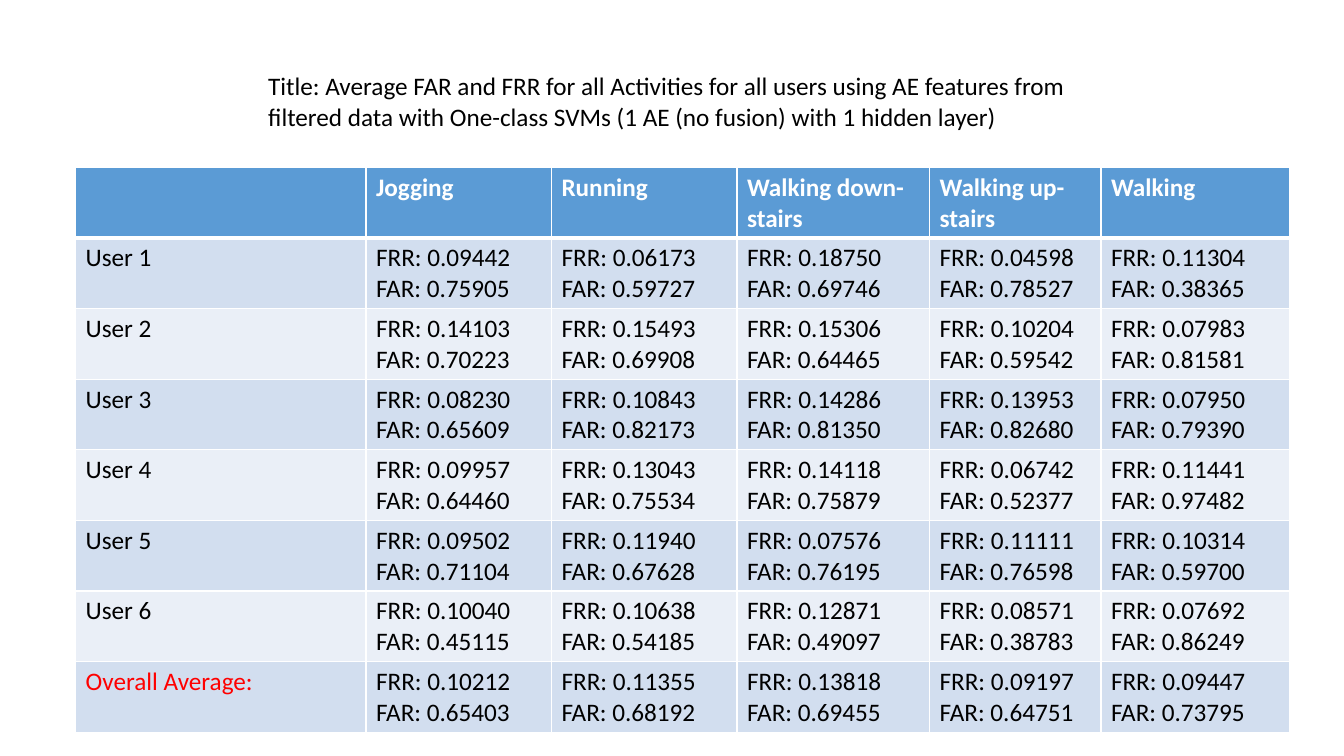
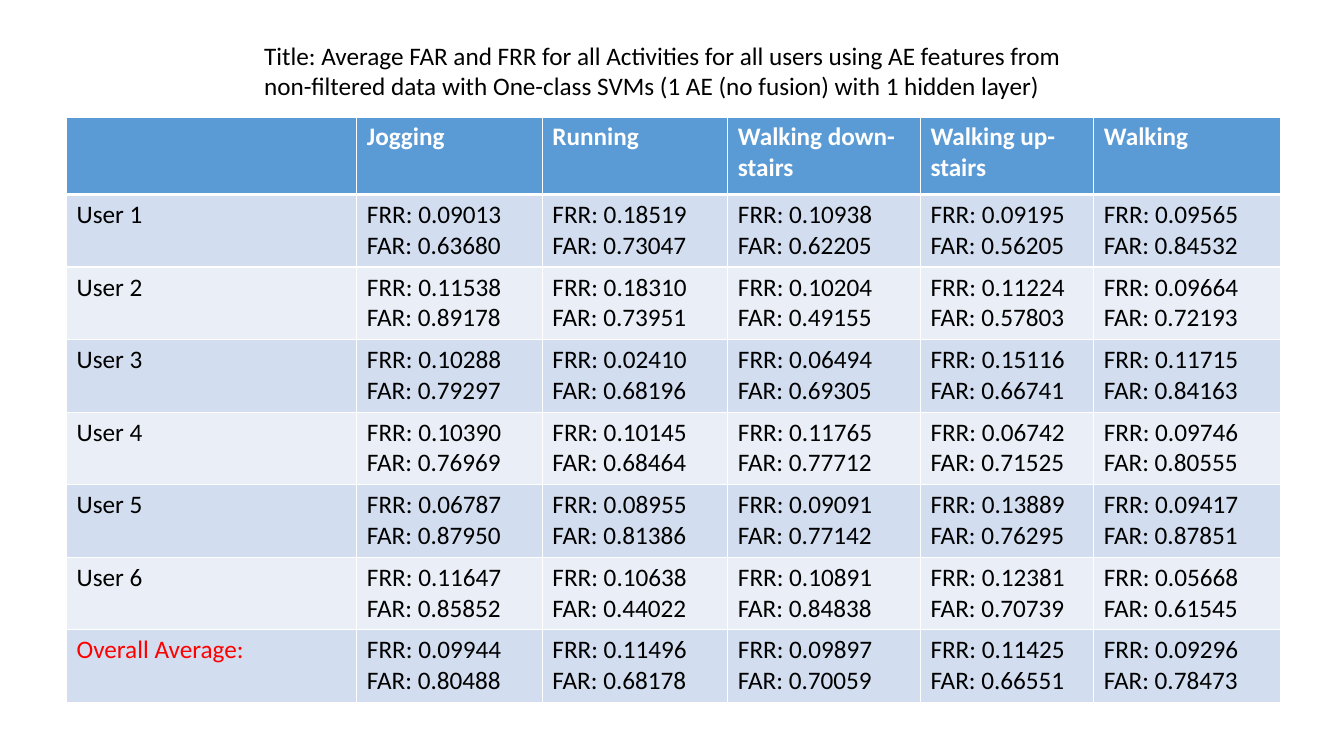
import lxml.etree
import pptx
import pptx.dml.color
import pptx.enum.text
import pptx.oxml.ns
import pptx.util

PX = 9144  # EMU; 100 px to the inch
FONT = "Calibri"
SIZE = pptx.util.Pt(18)
BLACK, WHITE, RED = "000000", "FFFFFF", "FF0000"
HEADER_FILL = "5B9BD5"
BAND_FILLS = ["EAEFF7", "D2DEEF"]

TITLE = ("Title: Average FAR and FRR for all Activities for all users using AE features "
         "from {} data with One-class SVMs (1 AE (no fusion) with 1 hidden layer)")
ACTIVITIES = ["Jogging", "Running", "Walking down-stairs", "Walking up-stairs", "Walking"]
ROW_NAMES = [f"User {number}" for number in range(1, 7)] + ["Overall Average:"]

# Each row holds one "FRR FAR" pair per activity.
RESULTS = [
    {
        "data": "filtered",
        "title_at": (256, 65),
        "table_at": (75, 166),
        "columns": [288, 184, 184, 191, 170, 187],
        "header_height": 67,
        "row_height": 67,
        "rates": [
            ["0.09442 0.75905", "0.06173 0.59727", "0.18750 0.69746", "0.04598 0.78527", "0.11304 0.38365"],
            ["0.14103 0.70223", "0.15493 0.69908", "0.15306 0.64465", "0.10204 0.59542", "0.07983 0.81581"],
            ["0.08230 0.65609", "0.10843 0.82173", "0.14286 0.81350", "0.13953 0.82680", "0.07950 0.79390"],
            ["0.09957 0.64460", "0.13043 0.75534", "0.14118 0.75879", "0.06742 0.52377", "0.11441 0.97482"],
            ["0.09502 0.71104", "0.11940 0.67628", "0.07576 0.76195", "0.11111 0.76598", "0.10314 0.59700"],
            ["0.10040 0.45115", "0.10638 0.54185", "0.12871 0.49097", "0.08571 0.38783", "0.07692 0.86249"],
            ["0.10212 0.65403", "0.11355 0.68192", "0.13818 0.69455", "0.09197 0.64751", "0.09447 0.73795"],
        ],
    },
    {
        "data": "non-filtered",
        "title_at": (252, 35),
        "table_at": (66, 116),
        "columns": [288, 184, 184, 191, 172, 185],
        "header_height": 77,
        "row_height": 72,
        "rates": [
            ["0.09013 0.63680", "0.18519 0.73047", "0.10938 0.62205", "0.09195 0.56205", "0.09565 0.84532"],
            ["0.11538 0.89178", "0.18310 0.73951", "0.10204 0.49155", "0.11224 0.57803", "0.09664 0.72193"],
            ["0.10288 0.79297", "0.02410 0.68196", "0.06494 0.69305", "0.15116 0.66741", "0.11715 0.84163"],
            ["0.10390 0.76969", "0.10145 0.68464", "0.11765 0.77712", "0.06742 0.71525", "0.09746 0.80555"],
            ["0.06787 0.87950", "0.08955 0.81386", "0.09091 0.77142", "0.13889 0.76295", "0.09417 0.87851"],
            ["0.11647 0.85852", "0.10638 0.44022", "0.10891 0.84838", "0.12381 0.70739", "0.05668 0.61545"],
            ["0.09944 0.80488", "0.11496 0.68178", "0.09897 0.70059", "0.11425 0.66551", "0.09296 0.78473"],
        ],
    },
]


def write_lines(frame, lines, color, bold=False):
    """Write each line as a paragraph of one run."""
    for index, line in enumerate(lines):
        para = frame.add_paragraph() if index else frame.paragraphs[0]
        para.alignment = pptx.enum.text.PP_ALIGN.LEFT
        span = para.add_run()
        span.text = line
        span.font.name = FONT
        span.font.size = SIZE
        span.font.bold = bold
        span.font.color.rgb = pptx.dml.color.RGBColor.from_string(color)


def paint_cell(cell, fill, top, bottom):
    """Fill a cell and give it white borders; top and bottom are widths in points."""
    cell.fill.solid()
    cell.fill.fore_color.rgb = pptx.dml.color.RGBColor.from_string(fill)
    properties = cell._tc.get_or_add_tcPr()
    borders = [("a:lnL", 1), ("a:lnR", 1), ("a:lnT", top), ("a:lnB", bottom)]
    for index, (tag, width) in enumerate(borders):
        line = lxml.etree.Element(pptx.oxml.ns.qn(tag), w=str(pptx.util.Pt(width)))
        solid = lxml.etree.SubElement(line, pptx.oxml.ns.qn("a:solidFill"))
        lxml.etree.SubElement(solid, pptx.oxml.ns.qn("a:srgbClr"), val=WHITE)
        properties.insert(index, line)


deck = pptx.Presentation()
deck.slide_width = 1333 * PX
deck.slide_height = 750 * PX
title_only = deck.slide_layouts[5]

for result in RESULTS:
    page = deck.slides.add_slide(title_only)

    title = page.shapes.title
    title.left, title.top = (length * PX for length in result["title_at"])
    title.width, title.height = 813 * PX, 71 * PX
    title.text_frame.word_wrap = True
    title.text_frame.auto_size = pptx.enum.text.MSO_AUTO_SIZE.SHAPE_TO_FIT_TEXT
    title.text_frame.vertical_anchor = pptx.enum.text.MSO_ANCHOR.TOP
    write_lines(title.text_frame, [TITLE.format(result["data"])], BLACK)

    left, top = result["table_at"]
    heights = [result["header_height"]] + [result["row_height"]] * len(ROW_NAMES)
    table = page.shapes.add_table(
        len(heights), len(result["columns"]), left * PX, top * PX,
        sum(result["columns"]) * PX, sum(heights) * PX).table
    table.horz_banding = False
    for column, width in zip(table.columns, result["columns"]):
        column.width = width * PX
    for row, height in zip(table.rows, heights):
        row.height = height * PX

    for column, activity in enumerate([""] + ACTIVITIES):
        cell = table.cell(0, column)
        paint_cell(cell, HEADER_FILL, top=1, bottom=3)
        if activity:
            write_lines(cell.text_frame, [activity], WHITE, bold=True)

    for row, (name, rates) in enumerate(zip(ROW_NAMES, result["rates"]), start=1):
        for column, text in enumerate([name] + rates):
            cell = table.cell(row, column)
            paint_cell(cell, BAND_FILLS[row % 2], top=3 if row == 1 else 1, bottom=1)
            if column:
                frr, far = text.split()
                write_lines(cell.text_frame, [f"FRR: {frr}", f"FAR: {far}"], BLACK)
            else:
                write_lines(cell.text_frame, [name], RED if name == ROW_NAMES[-1] else BLACK)

deck.save("out.pptx")
